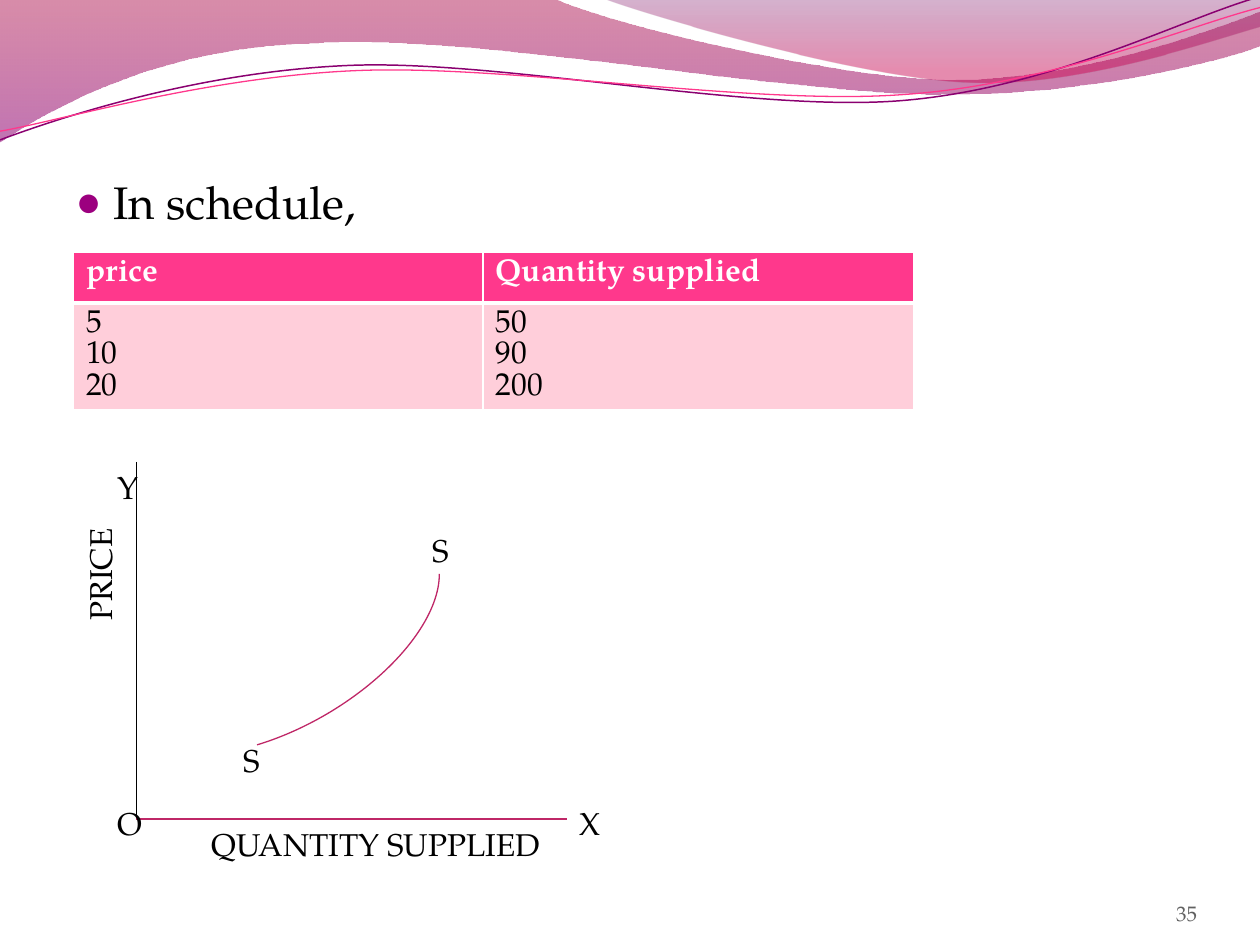
from dataclasses import dataclass

from lxml import etree
from pptx import Presentation
from pptx.dml.color import RGBColor
from pptx.enum.shapes import MSO_CONNECTOR, MSO_SHAPE
from pptx.enum.text import MSO_ANCHOR, PP_ALIGN
from pptx.oxml import parse_xml
from pptx.oxml.ns import nsdecls, qn
from pptx.util import Pt

STRAIGHT = MSO_CONNECTOR.STRAIGHT
ARC = MSO_SHAPE.ARC
BOTTOM = MSO_ANCHOR.BOTTOM
RIGHT = PP_ALIGN.RIGHT

FONT = "TeX Gyre Pagella"
BLACK = RGBColor(0x00, 0x00, 0x00)
WHITE = RGBColor(0xFF, 0xFF, 0xFF)
GREY = RGBColor(0x61, 0x61, 0x61)
PINK = RGBColor(0xFF, 0x38, 0x8C)
PALE_PINK = RGBColor(0xFF, 0xCE, 0xDA)
CRIMSON = RGBColor(0xBF, 0x27, 0x67)
PURPLE = RGBColor(0x8A, 0x00, 0x70)
BULLET = RGBColor(0x9C, 0x00, 0x7F)
WAVE_RED = RGBColor(0xA9, 0x00, 0x42)
WAVE_PURPLE = RGBColor(0x8E, 0x00, 0x73)
CREST_PURPLE = RGBColor(0x73, 0x00, 0x5E)
CREST_RED = RGBColor(0xC9, 0x00, 0x4F)
STRAND_ROTATION = -2.7


@dataclass
class Outline:
    """A start point, then segments: (x, y) is a line, six numbers a Bezier curve."""
    start: tuple[float, float]
    segments: list[tuple[float, ...]]


@dataclass
class Stop:
    position: float
    color: RGBColor
    alpha: int


@dataclass
class Wave:
    outline: Outline
    stops: list[Stop]


@dataclass
class Strand:
    outline: Outline
    color: RGBColor
    width: float


@dataclass
class Label:
    text: str
    left: float
    top: float
    width: float
    rotation: float = 0


WAVES = [
    Wave(Outline((0, 0), [
        (316.8, -0.7), (342.7, 12.2, 478, 45.4, 545.8, 45.4),
        (614.2, 45.4, 689.8, 18.7, 720, 6.5), (720.7, 25.9),
        (707.8, 31.7, 626.4, 54.7, 537.1, 54), (447.8, 54, 275, 20.2, 185, 24.5),
        (92.9, 25.9, 33.1, 59.8, -0.7, 81.4)]),
        [Stop(0, WAVE_RED, 45), Stop(1, WAVE_PURPLE, 55)]),
    Wave(Outline((344.9, -0.7), [
        (366.5, 7.9, 491, 44.6, 553.7, 46.8),
        (616.3, 49.7, 691.9, 23, 720, 15.1), (720, 0)]),
        [Stop(0, CREST_PURPLE, 30), Stop(0.8, CREST_RED, 45)]),
]
STRANDS = [
    Strand(Outline((-1.4, 63), [
        (33.8, 51.7, 114.1, 29.4, 199.8, 29.9), (284.8, 30.3, 425.8, 67.3, 512.5, 64.9),
        (599.1, 62.4, 676.5, 25.7, 720.2, 15.5)]), PURPLE, 0.85),
    Strand(Outline((-1.1, 58), [
        (32.9, 53.8, 118.3, 32.5, 204.1, 33), (290.6, 33.4, 428.9, 63.8, 515.5, 61.4),
        (601.4, 59.6, 678.4, 30.1, 721.4, 21.3)]), PINK, 0.75),
]
LABELS = [
    Label("S", 132, 420, 14.4), Label("Y", 60, 264, 18), Label("S", 240, 300, 36),
    Label("X", 324, 456, 21), Label("O", 60, 456, 18),
    Label("PRICE", 23, 313.2, 68.4, 270), Label("QUANTITY SUPPLIED", 114, 468, 204),
]
SCHEDULE = [("price", "Quantity supplied"), ("5\n10\n20", "50\n90\n200")]


def format_text(tf, size: float, color: RGBColor, bold: bool = False) -> None:
    for p in tf.paragraphs:
        for r in p.runs:
            r.font.name = FONT
            r.font.size = Pt(size)
            r.font.bold = bold
            r.font.color.rgb = color


def draw_outline(shapes, outline: Outline, close: bool):
    """Lay out all points as lines, then join each three of a curve into one Bezier."""
    x, y = outline.start
    points = [(Pt(seg[i]), Pt(seg[i + 1]))
              for seg in outline.segments for i in range(0, len(seg), 2)]
    builder = shapes.build_freeform(Pt(x), Pt(y))
    builder.add_line_segments(points, close=close)
    sp = builder.convert_to_shape()
    lines = iter(list(sp._element.spPr.iter(qn("a:lnTo"))))
    for seg in outline.segments:
        first = next(lines)
        if len(seg) == 6:
            first.tag = qn("a:cubicBezTo")
            for line in (next(lines), next(lines)):
                first.append(line[0])
                line.getparent().remove(line)
    sp.shadow.inherit = False
    return sp


def draw_wave(shapes, wave: Wave) -> None:
    sp = draw_outline(shapes, wave.outline, True)
    sp.line.fill.background()
    sp.fill.gradient()
    sp.fill.gradient_angle = 270
    for gradient_stop, stop in zip(sp.fill.gradient_stops, wave.stops):
        gradient_stop.position = stop.position
        gradient_stop.color.rgb = stop.color
    for color, stop in zip(sp._element.spPr.iter(qn("a:srgbClr")), wave.stops):
        etree.SubElement(color, qn("a:alpha"), val=str(stop.alpha * 1000))


def draw_strand(shapes, strand: Strand) -> None:
    sp = draw_outline(shapes, strand.outline, False)
    sp.rotation = STRAND_ROTATION
    sp.fill.background()
    sp.line.color.rgb = strand.color
    sp.line.width = Pt(strand.width)


def draw_axis(shapes, x1: float, y1: float, x2: float, y2: float, color: RGBColor) -> None:
    axis = shapes.add_connector(STRAIGHT, Pt(x1), Pt(y1), Pt(x2), Pt(y2))
    axis.line.color.rgb = color
    axis.line.width = Pt(0.75)
    etree.SubElement(axis._element.spPr, qn("a:effectLst"))


def draw_label(shapes, label: Label) -> None:
    sp = shapes.add_textbox(Pt(label.left), Pt(label.top), Pt(label.width), Pt(28.8))
    sp.rotation = label.rotation
    tf = sp.text_frame
    tf.word_wrap = True
    tf.text = label.text
    format_text(tf, 18, BLACK)


def set_borders(cell, widths: dict[str, float]) -> None:
    tc_pr = cell._tc.get_or_add_tcPr()
    for side, width in widths.items():
        tc_pr.append(parse_xml(
            f'<a:ln{side} {nsdecls("a")} w="{Pt(width)}"><a:solidFill>'
            f'<a:srgbClr val="{WHITE}"/></a:solidFill></a:ln{side}>'))


def draw_schedule(shapes) -> None:
    table = shapes.add_table(2, 2, Pt(42), Pt(144), Pt(480), Pt(90.4)).table
    for column, width in zip(table.columns, (234, 246)):
        column.width = Pt(width)
    for row, height in zip(table.rows, (29.2, 61.2)):
        row.height = Pt(height)
    for i, texts in enumerate(SCHEDULE):
        header = i == 0
        for j, text in enumerate(texts):
            cell = table.cell(i, j)
            set_borders(cell, {"L": 1, "R": 1, "T": 1 if header else 3, "B": 3 if header else 1})
            cell.fill.solid()
            cell.fill.fore_color.rgb = PINK if header else PALE_PINK
            cell.text_frame.text = text
            for p in cell.text_frame.paragraphs:
                p.line_spacing = Pt(18)
            format_text(cell.text_frame, 18, WHITE if header else BLACK, header)


def fill_body(body) -> None:
    body.left, body.top, body.width, body.height = Pt(36), Pt(96), Pt(648), Pt(402)
    body.text_frame.text = "In schedule,"
    p = body.text_frame.paragraphs[0]
    p.space_before = Pt(0)
    p_pr = p._p.get_or_add_pPr()
    p_pr.set("marL", str(Pt(21.6)))
    p_pr.set("indent", str(-Pt(21.6)))
    color = etree.SubElement(p_pr, qn("a:buClr"))
    etree.SubElement(color, qn("a:srgbClr"), val=str(BULLET))
    etree.SubElement(p_pr, qn("a:buSzPct"), val="95000")
    etree.SubElement(p_pr, qn("a:buChar"), char="●")
    format_text(body.text_frame, 26, BLACK)


def main() -> None:
    prs = Presentation()
    prs.slide_width, prs.slide_height = Pt(720), Pt(540)
    s = prs.slides.add_slide(prs.slide_layouts[1])
    title = s.shapes.title._element
    title.getparent().remove(title)
    for wave in WAVES:
        draw_wave(s.shapes, wave)
    for strand in STRANDS:
        draw_strand(s.shapes, strand)
    fill_body(s.placeholders[1])
    draw_schedule(s.shapes)
    draw_axis(s.shapes, 78, 264, 78, 468, BLACK)
    draw_axis(s.shapes, 78, 468, 324, 468, CRIMSON)

    supply = s.shapes.add_shape(ARC, Pt(110.2), Pt(264.2), Pt(101.5), Pt(200.2))
    supply.adjustments[0], supply.adjustments[1] = 167.05, 25.98
    supply.rotation = 59.6
    supply.shadow.inherit = False
    supply.fill.background()
    supply.line.color.rgb = CRIMSON
    supply.line.width = Pt(0.75)

    for label in LABELS:
        draw_label(s.shapes, label)

    tf = s.shapes.add_textbox(Pt(624), Pt(500.4), Pt(60), Pt(28.8)).text_frame
    tf.word_wrap = True
    tf.margin_left = tf.margin_top = tf.margin_right = tf.margin_bottom = Pt(0)
    tf.vertical_anchor = BOTTOM
    tf.text = "35"
    tf.paragraphs[0].alignment = RIGHT
    format_text(tf, 12, GREY)
    prs.save("out.pptx")


if __name__ == "__main__":
    main()
